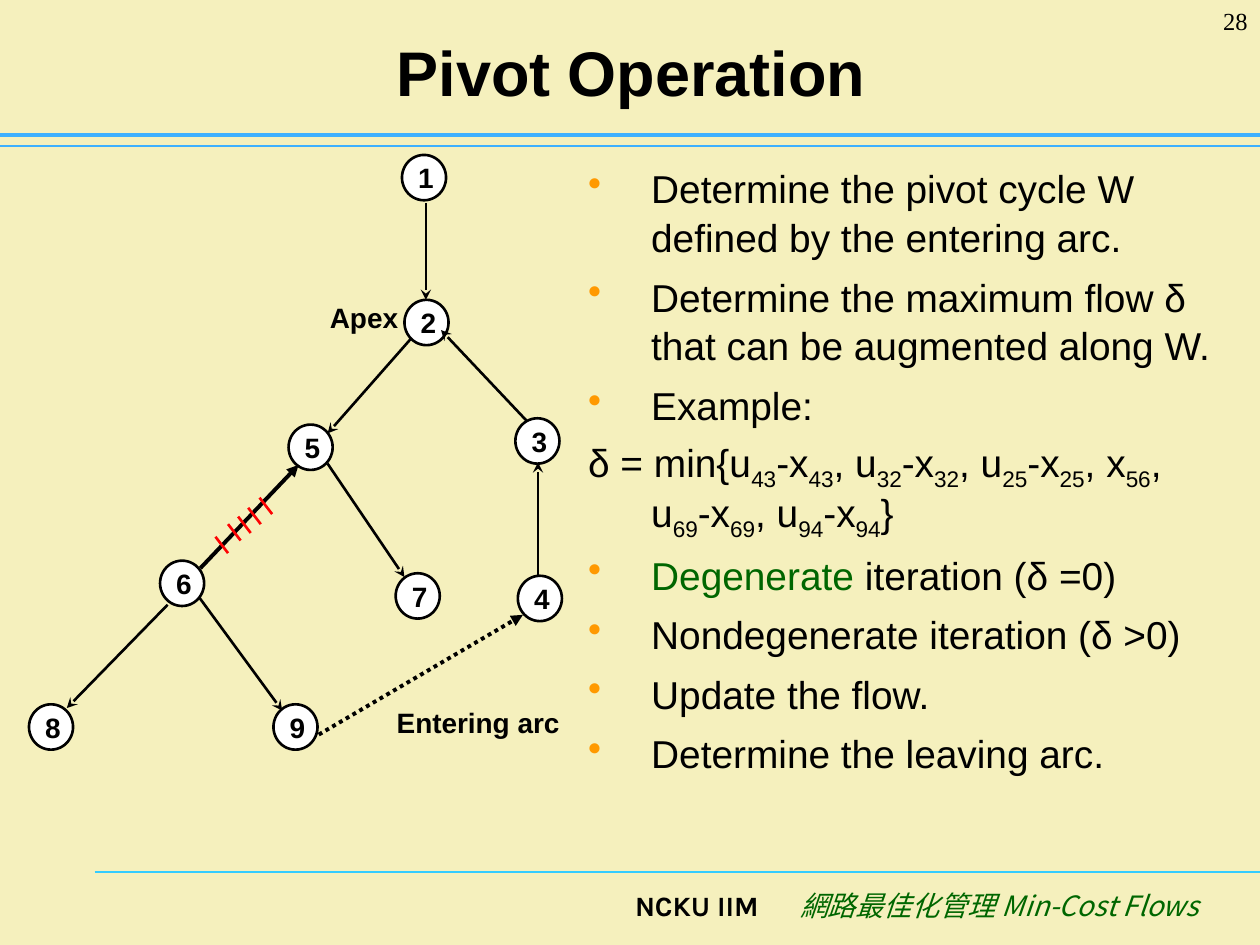
from lxml import etree
from pptx import Presentation
from pptx.dml.color import RGBColor
from pptx.enum.dml import MSO_LINE
from pptx.enum.shapes import MSO_CONNECTOR, MSO_SHAPE
from pptx.enum.text import MSO_ANCHOR, PP_ALIGN
from pptx.oxml.ns import qn
from pptx.util import Inches, Pt

STRAIGHT = MSO_CONNECTOR.STRAIGHT
OVAL = MSO_SHAPE.OVAL
DOTS = MSO_LINE.ROUND_DOT
MIDDLE = MSO_ANCHOR.MIDDLE
LEFT, CENTER, RIGHT = PP_ALIGN.LEFT, PP_ALIGN.CENTER, PP_ALIGN.RIGHT

CREAM = RGBColor(0xF5, 0xF0, 0xBD)
CYAN = RGBColor(0x33, 0xCC, 0xFF)
BLUE = RGBColor(0x3D, 0xB0, 0xFF)
BLACK = RGBColor(0, 0, 0)
WHITE = RGBColor(0xFF, 0xFF, 0xFF)
GREEN = RGBColor(0, 0x66, 0)
RED = RGBColor(0xFD, 0x03, 0x03)
CJK = "Noto Sans CJK SC"

deck = Presentation()
deck.slide_width, deck.slide_height = Inches(10), Inches(7.5)
slide = deck.slides.add_slide(deck.slide_layouts[5])
slide.background.fill.solid()
slide.background.fill.fore_color.rgb = CREAM
shapes = slide.shapes


def write(para, text, size=16, face="Arial", color=BLACK, bold=False,
          italic=False, align=LEFT, base=0):
    para.alignment = align
    run = para.add_run()
    run.text = text
    font = run.font
    font.size, font.name = Pt(size), face
    font.bold, font.italic = bold, italic
    font.color.rgb = color
    props = run._r.get_or_add_rPr()
    if base:
        props.set("baseline", str(base))
    if face == CJK:
        etree.SubElement(props, qn("a:ea"), typeface=face)


def draw(start, end, color=BLACK, width=1.5, head=None, dash=None):
    line = shapes.add_connector(STRAIGHT, *map(Inches, start + end))
    line.line.color.rgb = color
    line.line.width = Pt(width)
    if dash:
        line.line.dash_style = dash
    if head:
        etree.SubElement(line.line._get_or_add_ln(), qn("a:tailEnd"), type=head)
    etree.SubElement(line._element.spPr, qn("a:effectLst"))


draw((0.75, 6.92), (10, 6.92), CYAN, 0.75)
draw((0, 1.16), (10, 1.16), BLUE, 0.75)
draw((0, 1.07), (10, 1.07), BLUE, 2.5)

title = shapes.title
title.left, title.top = Inches(0.51), Inches(0.13)
title.width, title.height = Inches(9), Inches(0.87)
title.text_frame.vertical_anchor = MIDDLE
write(title.text_frame.paragraphs[0], "Pivot Operation", size=36, bold=True,
      align=CENTER)

flows = "δ = min{u_43_-x_43_, u_32_-x_32_, u_25_-x_25_, x_56_, u_69_-x_69_, u_94_-x_94_}"
rule = [(part, {"base": -25000 * (i % 2)})
        for i, part in enumerate(flows.split("_"))]
steps = [
    [("Determine the pivot cycle W defined by the entering arc.", {})],
    [("Determine the maximum flow δ that can be augmented along W.", {})],
    [("Example:", {})],
    rule,
    [("Degenerate", {"color": GREEN}), (" iteration (δ =0)", {})],
    [("Nondegenerate iteration (δ >0)", {})],
    [("Update the flow.", {})],
    [("Determine the leaving arc.", {})],
]
body = shapes.add_textbox(Inches(4.57), Inches(1.24), Inches(5.17), Inches(5.66))
frame = body.text_frame
frame.word_wrap = True
for i, step in enumerate(steps):
    para = frame.paragraphs[0] if i == 0 else frame.add_paragraph()
    para.line_spacing = 0.94 if step is rule else 1.05
    para.space_before = Pt(6 if i else 0)
    props = para._p.get_or_add_pPr()
    props.set("marL", str(Inches(0.5)))
    props.set("indent", str(Inches(-0.5)))
    if step is not rule:
        tint = etree.SubElement(props, qn("a:buClr"))
        etree.SubElement(tint, qn("a:srgbClr"), val="FF9900")
        etree.SubElement(props, qn("a:buChar"), char="•")
    for text, form in step:
        write(para, text, size=22.2, **form)

nodes = {
    1: (3.19, 1.23), 2: (3.21, 2.38), 5: (2.29, 3.37),
    3: (4.09, 3.32), 4: (4.11, 4.57), 7: (3.14, 4.55),
    6: (1.27, 4.45), 9: (2.17, 5.59), 8: (0.23, 5.59),
}
for name, (x, y) in nodes.items():
    node = shapes.add_shape(OVAL, Inches(x), Inches(y), Inches(0.35), Inches(0.36))
    node.shadow.inherit = False
    node.fill.solid()
    node.fill.fore_color.rgb = WHITE
    node.line.color.rgb = BLACK
    node.line.width = Pt(1.5)
    frame = node.text_frame
    frame.margin_left = Inches(0.03)
    frame.margin_right = frame.margin_top = frame.margin_bottom = 0
    frame.word_wrap = False
    frame.vertical_anchor = MIDDLE
    write(frame.paragraphs[0], str(name), bold=True, align=CENTER)

arcs = [
    ((3.38, 1.61), (3.38, 2.38)),
    ((3.26, 2.69), (2.6, 3.44)),
    ((4.18, 3.34), (3.5, 2.62)),
    ((4.27, 4.57), (4.27, 3.67)),
    ((2.6, 3.68), (3.21, 4.58)),
    ((1.58, 4.74), (2.24, 5.64)),
    ((1.33, 4.8), (0.53, 5.62)),
]
for start, end in arcs:
    draw(start, end, head="stealth")
draw((1.59, 4.51), (2.37, 3.69), width=2.25, head="triangle")
draw((2.53, 5.83), (4.15, 4.88), width=2.25, head="triangle", dash=DOTS)

for x, y in [(1.71, 4.26), (1.81, 4.16), (1.89, 4.1), (1.97, 4.03), (2.06, 3.95)]:
    draw((x, y), (x + 0.1, y + 0.13), RED)

labels = [
    ("Entering arc", (3.05, 5.55, 1.49, 0.37), False, {"bold": True}),
    ("Apex", (2.52, 2.34, 0.74, 0.37), False, {"bold": True}),
    ("28", (9.17, 0, 0.83, 0.5), True,
     {"size": 14, "face": "Times New Roman", "align": RIGHT}),
    ("NCKU IIM", (4.6, 7, 1.52, 0.5), True,
     {"face": "Karla", "bold": True, "align": RIGHT}),
    ("網路最佳化管理 Min-Cost Flows", (6.1, 7, 3.51, 0.5), True,
     {"face": CJK, "color": GREEN, "italic": True, "align": RIGHT}),
]
for text, place, wrap, form in labels:
    box = shapes.add_textbox(*map(Inches, place))
    box.text_frame.word_wrap = wrap
    write(box.text_frame.paragraphs[0], text, **form)

deck.save("out.pptx")
